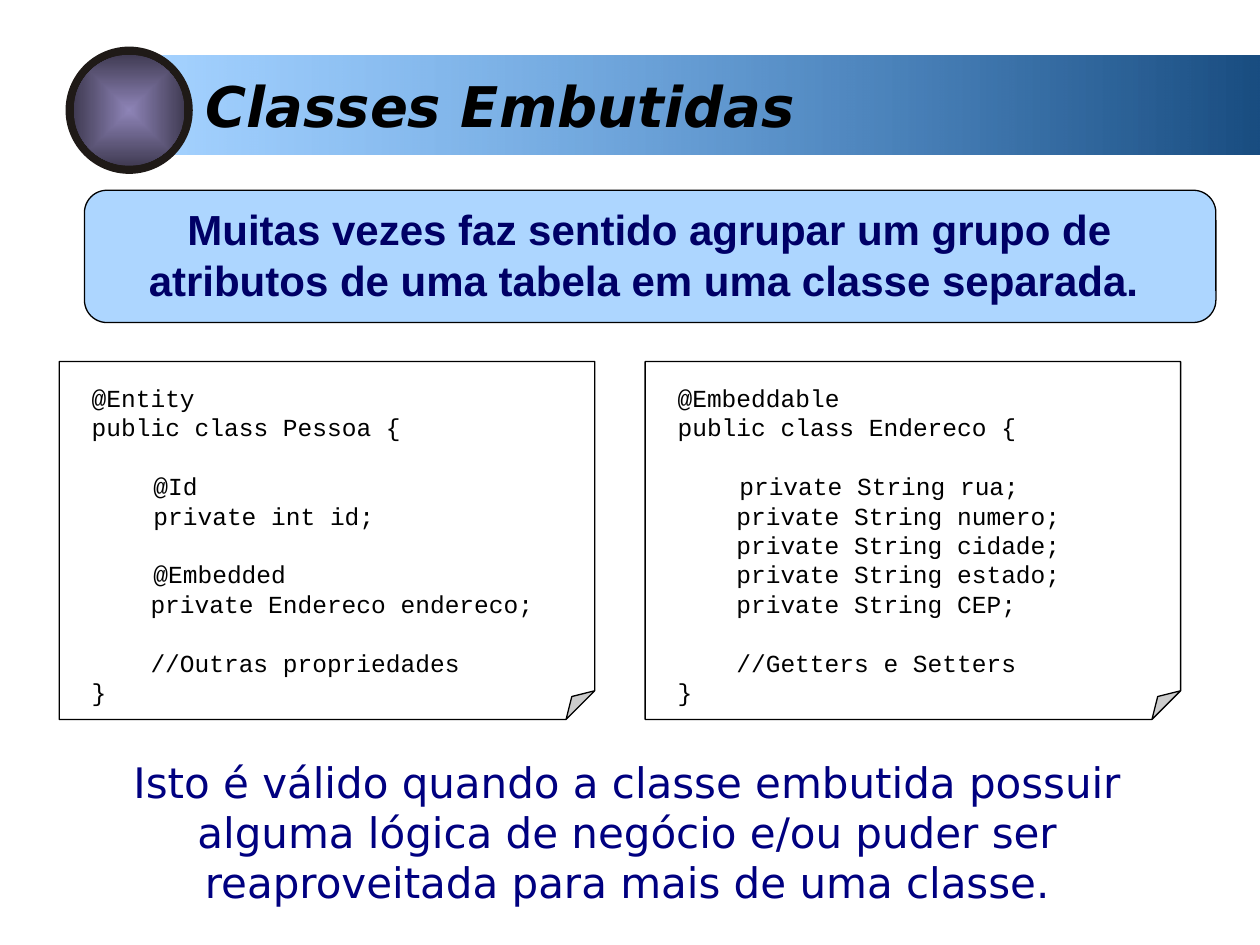
"""Build the slide on embedded classes."""
from dataclasses import dataclass

import lxml.etree
import pptx
import pptx.dml.color
import pptx.enum.shapes
import pptx.enum.text
import pptx.oxml
import pptx.oxml.ns
import pptx.shapes.autoshape
import pptx.slide
import pptx.util

Pt = pptx.util.Pt
Kind = pptx.enum.shapes.MSO_SHAPE
Align = pptx.enum.text.PP_ALIGN
Shape = pptx.shapes.autoshape.Shape
Slide = pptx.slide.Slide


@dataclass(frozen=True)
class Theme:
    """Colours, fonts and type sizes."""
    black: str = "000000"
    white: str = "FFFFFF"
    sky: str = "3399FF"
    deep: str = "194D81"
    ring: str = "1F1A17"
    violet: str = "8E84B7"
    dusk: str = "413C54"
    callout_ink: str = "000066"
    closing_ink: str = "000080"
    heading_font: str = "DejaVu Sans"
    callout_font: str = "Arial"
    code_font: str = "Courier New"
    title_size: float = 32
    text_size: float = 24
    code_size: float = 14
    leading: float = 1.2
    outline: float = 0.75


@dataclass(frozen=True)
class Frame:
    """A rectangle in points."""
    left: float
    top: float
    width: float
    height: float


@dataclass(frozen=True)
class Line:
    """A line of text with its left indent and the number of lines skipped above it."""
    text: str
    indent: float = 0
    skip: int = 0


@dataclass(frozen=True)
class Note:
    """A folded sheet with a code listing."""
    left: float
    lines: tuple[Line, ...]


THEME = Theme()
TAB = 35.28
SPACES = 33.6
NOTES = (
    Note(33.84, (
        Line("@Entity"),
        Line("public class Pessoa {"),
        Line("@Id", TAB, 1),
        Line("private int id;", TAB),
        Line("@Embedded", TAB, 1),
        Line("private Endereco endereco;", SPACES),
        Line("//Outras propriedades", SPACES, 1),
        Line("}"),
    )),
    Note(368.64, (
        Line("@Embeddable"),
        Line("public class Endereco {"),
        Line("private String rua;", TAB, 1),
        *(Line(f"private String {name};", SPACES) for name in ("numero", "cidade", "estado", "CEP")),
        Line("//Getters e Setters", SPACES, 1),
        Line("}"),
    )),
)


def rgb(color: str) -> pptx.dml.color.RGBColor:
    """Turn a hex string into a colour."""
    return pptx.dml.color.RGBColor.from_string(color)


def place(shape: Shape, frame: Frame) -> None:
    """Move and size a shape."""
    shape.left, shape.top = Pt(frame.left), Pt(frame.top)
    shape.width, shape.height = Pt(frame.width), Pt(frame.height)


def draw_shape(page: Slide, kind: Kind, frame: Frame, color: str, *, opacity: int = 100,
               outlined: bool = False, corner: float | None = None) -> Shape:
    """Draw a preset shape with a flat fill."""
    shape = page.shapes.add_shape(kind, 0, 0, 0, 0)
    place(shape, frame)
    shape.shadow.inherit = False
    shape.fill.solid()
    shape.fill.fore_color.rgb = rgb(color)
    if opacity < 100:
        tint = shape._element.spPr.find(".//" + pptx.oxml.ns.qn("a:srgbClr"))
        lxml.etree.SubElement(tint, pptx.oxml.ns.qn("a:alpha"), val=str(opacity * 1000))
    if outlined:
        shape.line.color.rgb = rgb(THEME.black)
        shape.line.width = Pt(THEME.outline)
    else:
        shape.line.fill.background()
    if corner is not None:
        guides = shape._element.spPr.find(".//" + pptx.oxml.ns.qn("a:avLst"))
        guides.clear()
        lxml.etree.SubElement(guides, pptx.oxml.ns.qn("a:gd"), name="adj",
                              fmla=f"val {round(corner * 100000)}")
    return shape


def blend(shape: Shape, first: str, last: str, direction: str, *, last_opacity: int = 100) -> None:
    """Replace the flat fill of a shape with a two-colour gradient."""
    flat = shape._element.spPr.find(pptx.oxml.ns.qn("a:solidFill"))
    gradient = pptx.oxml.parse_xml(
        f'<a:gradFill {pptx.oxml.ns.nsdecls("a")} rotWithShape="1"><a:gsLst>'
        f'<a:gs pos="0"><a:srgbClr val="{first}"/></a:gs>'
        f'<a:gs pos="100000"><a:srgbClr val="{last}"><a:alpha val="{last_opacity * 1000}"/>'
        f'</a:srgbClr></a:gs></a:gsLst>{direction}</a:gradFill>')
    shape._element.spPr.replace(flat, gradient)


def write(box: Shape, frame: Frame, *lines: Line, font: str, size: float, color: str,
          bold: bool = False, italic: bool = False, align: Align = Align.LEFT) -> None:
    """Place a text holder and fill it with formatted lines."""
    place(box, frame)
    text = box.text_frame
    text.word_wrap = True
    text.auto_size = pptx.enum.text.MSO_AUTO_SIZE.NONE
    text.vertical_anchor = pptx.enum.text.MSO_ANCHOR.TOP
    leading = size * THEME.leading
    for number, line in enumerate(lines):
        para = text.add_paragraph() if number else text.paragraphs[0]
        para.alignment = align
        para.line_spacing = Pt(leading)
        para.space_before = Pt(leading * line.skip)
        layout = para._p.get_or_add_pPr()
        layout.set("marL", str(int(Pt(line.indent))))
        layout.set("indent", "0")
        lxml.etree.SubElement(layout, pptx.oxml.ns.qn("a:buNone"))
        span = para.add_run()
        span.text = line.text
        span.font.name, span.font.size = font, Pt(size)
        span.font.bold, span.font.italic = bold, italic
        span.font.color.rgb = rgb(color)


def add_text_box(page: Slide) -> Shape:
    """Add an empty text box."""
    return page.shapes.add_textbox(0, 0, 0, 0)


def draw_header(page: Slide) -> None:
    """Draw the title band, its round badge and the title."""
    band = draw_shape(page, Kind.RECTANGLE, Frame(87.84, 31.68, 632.16, 56.88), THEME.sky)
    blend(band, THEME.deep, THEME.sky, '<a:lin ang="10800000" scaled="0"/>', last_opacity=44)
    title = page.shapes.title
    page.shapes._spTree.append(title._element)
    write(title, Frame(110.16, 37.44, 609.84, 46.08), Line("Classes Embutidas"),
          font=THEME.heading_font, size=THEME.title_size, color=THEME.black, bold=True, italic=True)
    draw_shape(page, Kind.OVAL, Frame(37.44, 26.64, 72.72, 72.72), THEME.ring)
    disc = draw_shape(page, Kind.OVAL, Frame(42.12, 31.32, 63.36, 63.36), THEME.violet)
    blend(disc, THEME.violet, THEME.dusk,
          '<a:path path="rect"><a:fillToRect l="50000" t="50000" r="50000" b="50000"/></a:path>')


def draw_callout(page: Slide) -> None:
    """Draw the rounded callout and its statement."""
    draw_shape(page, Kind.ROUNDED_RECTANGLE, Frame(48.24, 108.72, 646.56, 75.6), THEME.sky,
               opacity=40, outlined=True, corner=0.17)
    statement = ("Muitas vezes faz sentido agrupar um grupo de atributos "
                 "de uma tabela em uma classe separada. ")
    write(add_text_box(page), Frame(54.72, 113.04, 632.88, 64.8), Line(statement),
          font=THEME.callout_font, size=THEME.text_size, color=THEME.callout_ink,
          bold=True, align=Align.CENTER)


def draw_note(page: Slide, note: Note) -> None:
    """Draw a folded sheet and its listing."""
    draw_shape(page, Kind.FOLDED_CORNER, Frame(note.left, 206.64, 306, 204.48), THEME.white,
               outlined=True, corner=0.08)
    write(add_text_box(page), Frame(note.left + 11.52, 215.28, 295.2, 192.24), *note.lines,
          font=THEME.code_font, size=THEME.code_size, color=THEME.black)


def main() -> None:
    """Build and save the deck."""
    deck = pptx.Presentation()
    deck.slide_width, deck.slide_height = Pt(720), Pt(540)
    page = deck.slides.add_slide(deck.slide_layouts[1])
    draw_header(page)
    draw_callout(page)
    for note in NOTES:
        draw_note(page, note)
    closing = ("Isto é válido quando a classe embutida possuir alguma lógica de negócio "
               "e/ou puder ser reaproveitada para mais de uma classe.")
    write(page.placeholders[1], Frame(39.6, 428.4, 637.92, 93.6), Line(closing),
          font=THEME.heading_font, size=THEME.text_size, color=THEME.closing_ink,
          align=Align.CENTER)
    deck.save("out.pptx")


if __name__ == "__main__":
    main()
